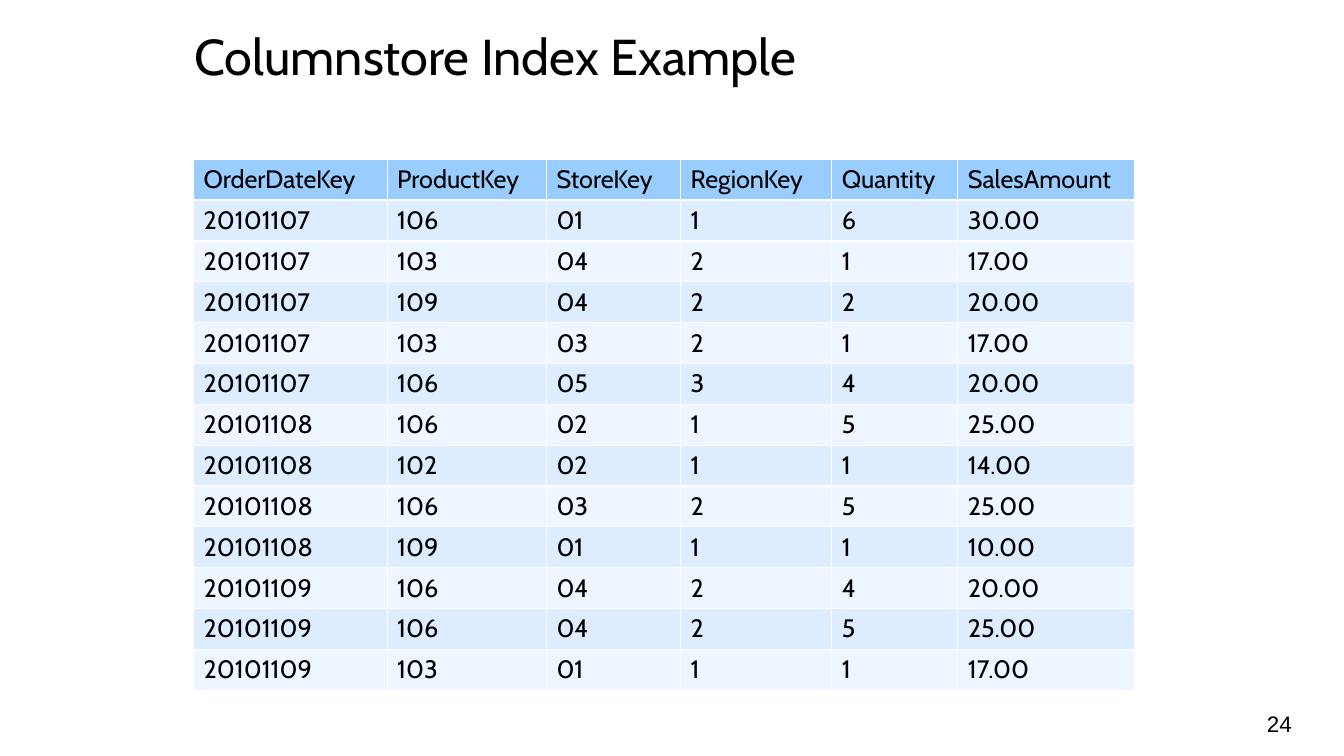
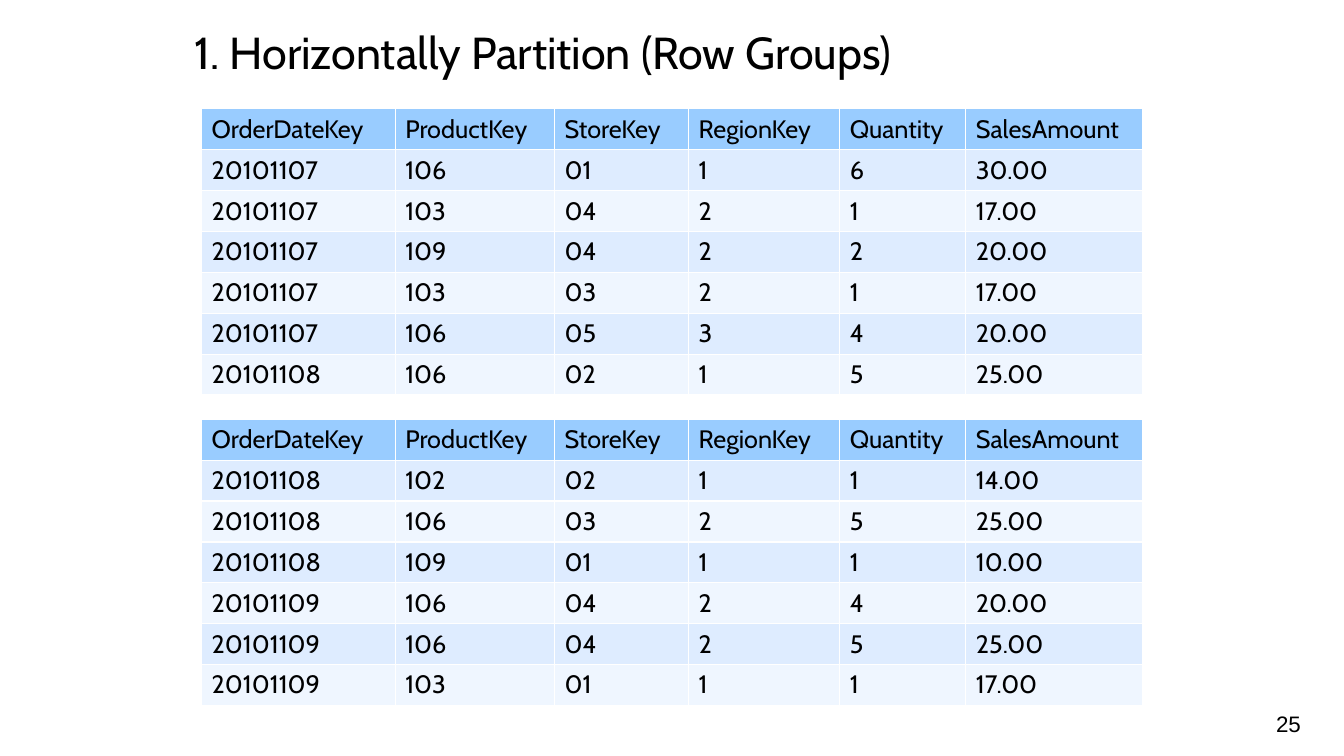
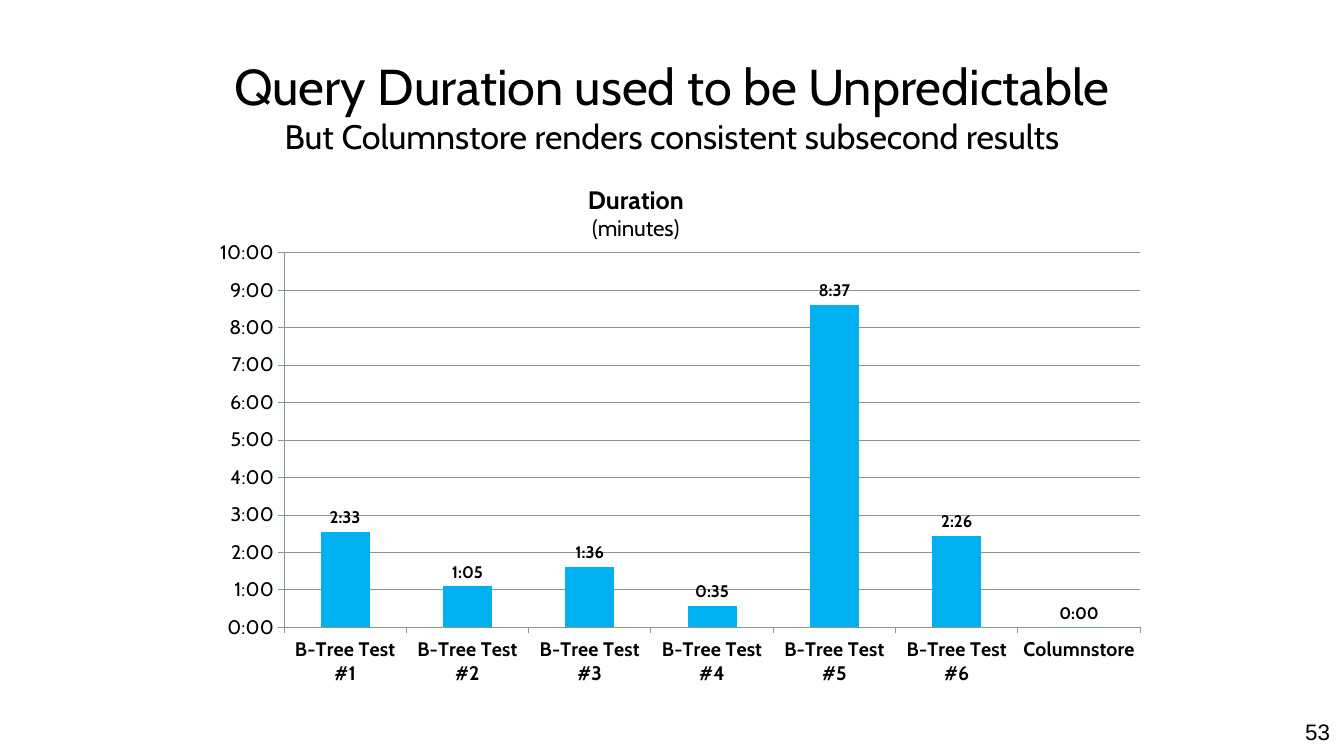
import pptx
import pptx.chart.data
import pptx.dml.color
import pptx.enum.chart
import pptx.enum.text
import pptx.oxml
import pptx.oxml.ns
import pptx.util

Inches, Pt = pptx.util.Inches, pptx.util.Pt
ALIGN = pptx.enum.text.PP_ALIGN

# Shared look
COLORS = {
    "text": "000000",
    "head": "99CCFF",
    "odd": "DEECFF",
    "even": "EFF6FF",
    "edge": "FFFFFF",
    "bar": "00B0F0",
    "grid": "869A86",
}
FONT = "Cabin"
PAGE_FONT = "Arial"

# Sales data
HEAD = ["OrderDateKey", "ProductKey", "StoreKey", "RegionKey", "Quantity", "SalesAmount"]
WIDTHS = [1.92, 1.58, 1.33, 1.5, 1.25, 1.75]
SALES = [line.split() for line in """\
20101107 106 01 1 6 30.00
20101107 103 04 2 1 17.00
20101107 109 04 2 2 20.00
20101107 103 03 2 1 17.00
20101107 106 05 3 4 20.00
20101108 106 02 1 5 25.00
20101108 102 02 1 1 14.00
20101108 106 03 2 5 25.00
20101108 109 01 1 1 10.00
20101109 106 04 2 4 20.00
20101109 106 04 2 5 25.00
20101109 103 01 1 1 17.00""".splitlines()]

# Query times as (label, hours, minutes)
TIMES = [
    ("B-Tree Test #1", 2, 33),
    ("B-Tree Test #2", 1, 6),
    ("B-Tree Test #3", 1, 37),
    ("B-Tree Test #4", 0, 35),
    ("B-Tree Test #5", 8, 37),
    ("B-Tree Test #6", 2, 27),
    ("Columnstore", 0, 0),
]


def rgb(name):
    return pptx.dml.color.RGBColor.from_string(COLORS[name])


def style(font, size, bold=False, face=FONT):
    font.name, font.size, font.bold = face, Pt(size), bold
    font.color.rgb = rgb("text")


def add_text(slide, box, text, sizes, align=ALIGN.LEFT, face=FONT):
    """One paragraph; each line takes its own size."""
    frame = slide.shapes.add_textbox(*map(Inches, box)).text_frame
    frame.word_wrap = True
    para = frame.paragraphs[0]
    para.text = text
    para.alignment = align
    for run, size in zip(para.runs, sizes):
        style(run.font, size, face=face)


def add_page(slide, number, left, top=7, width=0.58):
    add_text(slide, (left, top, width, 0.33), number, [16], ALIGN.RIGHT, PAGE_FONT)


def add_edges(cell):
    props = cell._tc.get_or_add_tcPr()
    for side in "LRTB":
        props.append(pptx.oxml.parse_xml(
            f'<a:ln{side} {pptx.oxml.ns.nsdecls("a")} w="{Pt(1)}"><a:solidFill>'
            f'<a:srgbClr val="{COLORS["edge"]}"/></a:solidFill></a:ln{side}>'))


def add_sales(slide, left, top, height, sales):
    rows = [HEAD] + sales
    frame = slide.shapes.add_table(
        len(rows), len(HEAD), Inches(left), Inches(top),
        Inches(sum(WIDTHS)), Inches(height))
    table = frame.table
    table.first_row = table.horz_banding = False
    for col, width in zip(table.columns, WIDTHS):
        col.width = Inches(width)
    for r, row in enumerate(rows):
        table.rows[r].height = Inches(height / len(rows))
        fill = "head" if r == 0 else "odd" if r % 2 else "even"
        for c, text in enumerate(row):
            cell = table.cell(r, c)
            cell.text_frame.text = text
            style(cell.text_frame.paragraphs[0].runs[0].font, 18)
            add_edges(cell)
            cell.fill.solid()
            cell.fill.fore_color.rgb = rgb(fill)


def set_layout(parent, index, inner=False, **place):
    """Fix the place of a chart part, in fractions of the chart."""
    for old in parent.findall(pptx.oxml.ns.qn("c:layout")):
        parent.remove(old)
    target = '<c:layoutTarget val="inner"/>' if inner else ""
    modes = "".join(f'<c:{key}Mode val="edge"/>' for key in "xy")
    sizes = "".join(f'<c:{key} val="{val}"/>' for key, val in place.items())
    parent.insert(index, pptx.oxml.parse_xml(
        f'<c:layout {pptx.oxml.ns.nsdecls("c")}><c:manualLayout>'
        f'{target}{modes}{sizes}</c:manualLayout></c:layout>'))


def style_axis(axis, bold):
    style(axis.tick_labels.font, 14, bold)
    axis.major_tick_mark = pptx.enum.chart.XL_TICK_MARK.OUTSIDE
    axis.format.line.color.rgb = rgb("grid")
    axis.format.line.width = Pt(0.75)


def add_times(slide, box):
    data = pptx.chart.data.CategoryChartData(number_format="h:mm")
    data.categories = [label for label, _, _ in TIMES]
    days = [round((hour + mins / 60) / 24, 6) for _, hour, mins in TIMES]
    data.add_series("Series 1", days)
    kind = pptx.enum.chart.XL_CHART_TYPE.COLUMN_CLUSTERED
    chart = slide.shapes.add_chart(kind, *map(Inches, box), data).chart
    style(chart.font, 10)
    chart.has_legend = False

    # Title
    chart.has_title = True
    frame = chart.chart_title.text_frame
    frame.text = "Duration\n(minutes)"
    for para, size, bold in zip(frame.paragraphs, (18, 16), (True, False)):
        style(para.runs[0].font, size, bold)
    set_layout(chart.chart_title.element, 1, x=0.4, y=0.06)
    area = chart.element.find(".//" + pptx.oxml.ns.qn("c:plotArea"))
    set_layout(area, 0, True, x=0.086, y=0.192, w=0.894, h=0.681)

    # Axes
    style_axis(chart.category_axis, True)
    axis = chart.value_axis
    style_axis(axis, False)
    axis.minimum_scale, axis.maximum_scale = 0, 10 / 24
    axis.major_unit = 1 / 24
    axis.tick_labels.number_format = "h:mm"
    axis.tick_labels.number_format_is_linked = False
    axis.major_gridlines.format.line.color.rgb = rgb("grid")
    axis.major_gridlines.format.line.width = Pt(0.75)

    # Bars
    plot = chart.plots[0]
    plot.vary_by_categories = False
    plot.gap_width = 150
    fill = plot.series[0].format.fill
    fill.solid()
    fill.fore_color.rgb = rgb("bar")
    plot.has_data_labels = True
    labels = plot.data_labels
    labels.show_value = True
    labels.number_format = "h:mm"
    labels.number_format_is_linked = False
    labels.position = pptx.enum.chart.XL_LABEL_POSITION.OUTSIDE_END
    style(labels.font, 12, True)


def main():
    deck = pptx.Presentation()
    deck.slide_width, deck.slide_height = Inches(13.33), Inches(7.5)
    whole, groups, query = [deck.slides.add_slide(deck.slide_layouts[6]) for _ in range(3)]
    title = (1.83, 0.2, 9, 1.17)

    # Whole table
    add_text(whole, title, "Columnstore Index Example", [36])
    add_sales(whole, 1.92, 1.58, 5.27, SALES)
    add_page(whole, "24", 12.33)

    # Row groups
    add_text(groups, title, "1. Horizontally Partition (Row Groups)", [32])
    half = len(SALES) // 2
    add_sales(groups, 2, 1.08, 2.84, SALES[:half])
    add_sales(groups, 2, 4.16, 2.84, SALES[half:])
    add_page(groups, "25", 12.42)

    # Query duration
    add_text(query, (1.83, 0.5, 9.67, 0.82),
             "Query Duration used to be Unpredictable\n"
             "But Columnstore renders consistent subsecond results",
             [36, 24.3], ALIGN.CENTER)
    add_times(query, (2, 1.46, 9.5, 5.46))
    add_page(query, "53", 12.18, 7.08, 1.11)

    deck.save("out.pptx")


if __name__ == "__main__":
    main()
